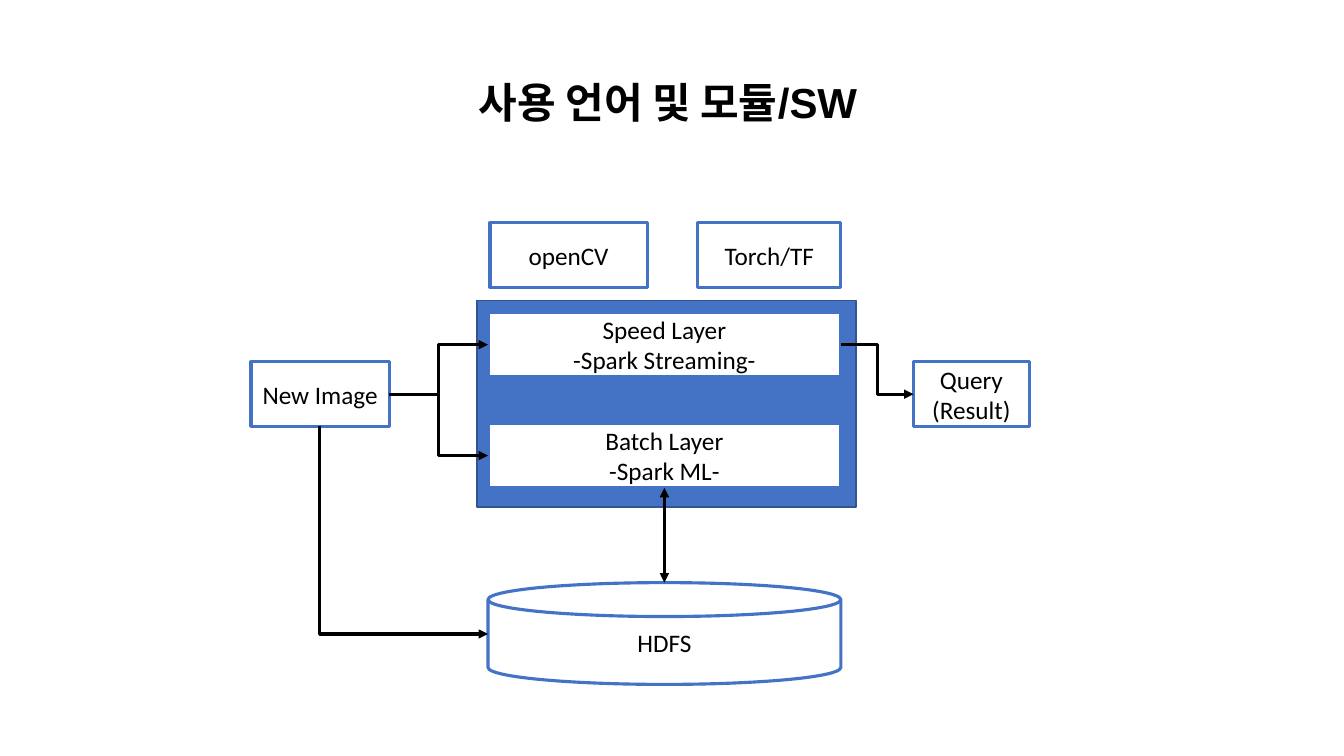
import pptx
import pptx.util
import pptx.dml.color
import pptx.enum.shapes
import pptx.enum.text
import pptx.oxml
import pptx.oxml.ns

Inches = pptx.util.Inches
Pt = pptx.util.Pt
KINDS = pptx.enum.shapes.MSO_SHAPE
LINKS = pptx.enum.shapes.MSO_CONNECTOR
BLUE, EDGE, WHITE, BLACK = "4472C4", "325491", "FFFFFF", "000000"


def color(code):
    return pptx.dml.color.RGBColor.from_string(code)


def style(frame, size, face, bold=False):
    for para in frame.paragraphs:
        para.alignment = pptx.enum.text.PP_ALIGN.CENTER
        for run in para.runs:
            run.font.size = Pt(size)
            run.font.name = face
            run.font.bold = bold
            run.font.color.rgb = color(BLACK)


def add_title(slide, text):
    box = slide.shapes.add_textbox(
        Inches(2.49), Inches(0.71), Inches(8.27), Inches(0.61))
    frame = box.text_frame
    frame.word_wrap = True
    frame.auto_size = pptx.enum.text.MSO_AUTO_SIZE.SHAPE_TO_FIT_TEXT
    frame.text = text
    style(frame, 30, "Arial", True)


def add_box(slide, text, left, top, width, height=0.64, kind=KINDS.RECTANGLE,
            fill=WHITE, edge=BLUE, weight=2.25):
    box = slide.shapes.add_shape(
        kind, Inches(left), Inches(top), Inches(width), Inches(height))
    box.shadow.inherit = False
    box.fill.solid()
    box.fill.fore_color.rgb = color(fill)
    box.line.color.rgb = color(edge)
    box.line.width = Pt(weight)
    if text:
        frame = box.text_frame
        frame.word_wrap = True
        frame.vertical_anchor = pptx.enum.text.MSO_ANCHOR.MIDDLE
        frame.text = text
        style(frame, 18, "Calibri")
    return box


def add_arrow(slide, start, end, kind=LINKS.ELBOW, both=False):
    points = [Inches(value) for value in (*start, *end)]
    link = slide.shapes.add_connector(kind, *points)
    link.line.color.rgb = color(BLACK)
    link.line.width = Pt(2.25)
    line = link.line._get_or_add_ln()
    for tag in ("a:headEnd", "a:tailEnd") if both else ("a:tailEnd",):
        pptx.oxml.ns.qn(tag)
        tip = pptx.oxml.parse_xml(
            f'<{tag} {pptx.oxml.ns.nsdecls("a")} type="triangle"/>')
        line.append(tip)
    link._element.spPr.append(pptx.oxml.parse_xml(
        f'<a:effectLst {pptx.oxml.ns.nsdecls("a")}/>'))
    return link


def add_corner(slide, start, end):
    """Draw an arrow that runs down and then right, as a turned corner."""
    (x1, y1), (x2, y2) = start, end
    mid_x, mid_y = (x1 + x2) / 2, (y1 + y2) / 2
    half_w, half_h = (y2 - y1) / 2, (x2 - x1) / 2
    link = add_arrow(slide, (mid_x + half_w, mid_y - half_h),
                     (mid_x - half_w, mid_y + half_h))
    shape = link._element.spPr
    shape.find(pptx.oxml.ns.qn("a:xfrm")).set("rot", "16200000")
    shape.find(pptx.oxml.ns.qn("a:prstGeom")).set("prst", "bentConnector2")


def main():
    deck = pptx.Presentation()
    deck.slide_width = Inches(13.33)
    deck.slide_height = Inches(7.5)
    slide = deck.slides.add_slide(deck.slide_layouts[6])

    add_box(slide, "", 4.73, 2.98, 3.76, 2.05, fill=BLUE, edge=EDGE, weight=1)
    add_title(slide, "사용 언어 및 모듈/SW")
    for text, left, top, width in (
            ("Speed Layer\n-Spark Streaming-", 4.84, 3.1, 3.5),
            ("Batch Layer\n-Spark ML-", 4.84, 4.2, 3.5),
            ("New Image", 2.49, 3.59, 1.37),
            ("Query\n(Result)", 9.06, 3.59, 1.15),
            ("openCV", 4.86, 2.21, 1.56),
            ("Torch/TF", 6.92, 2.21, 1.42)):
        add_box(slide, text, left, top, width)
    add_box(slide, "HDFS", 4.84, 5.78, 3.5, 1.01,
            kind=KINDS.FLOWCHART_MAGNETIC_DISK)

    add_corner(slide, (3.17, 4.23), (4.84, 6.29))
    for start, end in (((3.86, 3.91), (4.84, 4.52)),
                       ((3.86, 3.91), (4.84, 3.42)),
                       ((8.34, 3.42), (9.06, 3.91))):
        add_arrow(slide, start, end)
    add_arrow(slide, (6.59, 4.84), (6.59, 5.78), LINKS.STRAIGHT, both=True)

    deck.save("out.pptx")


if __name__ == "__main__":
    main()
